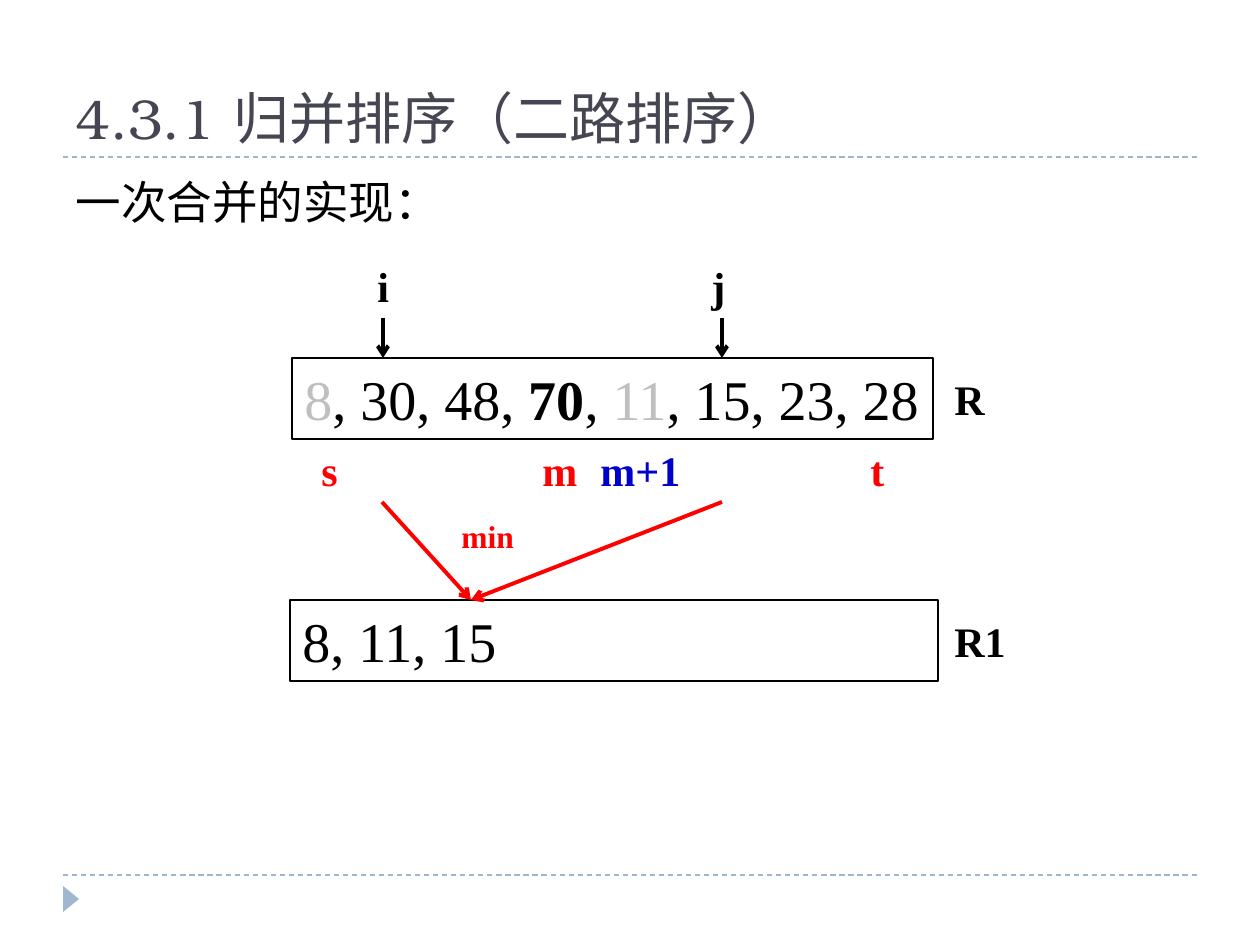
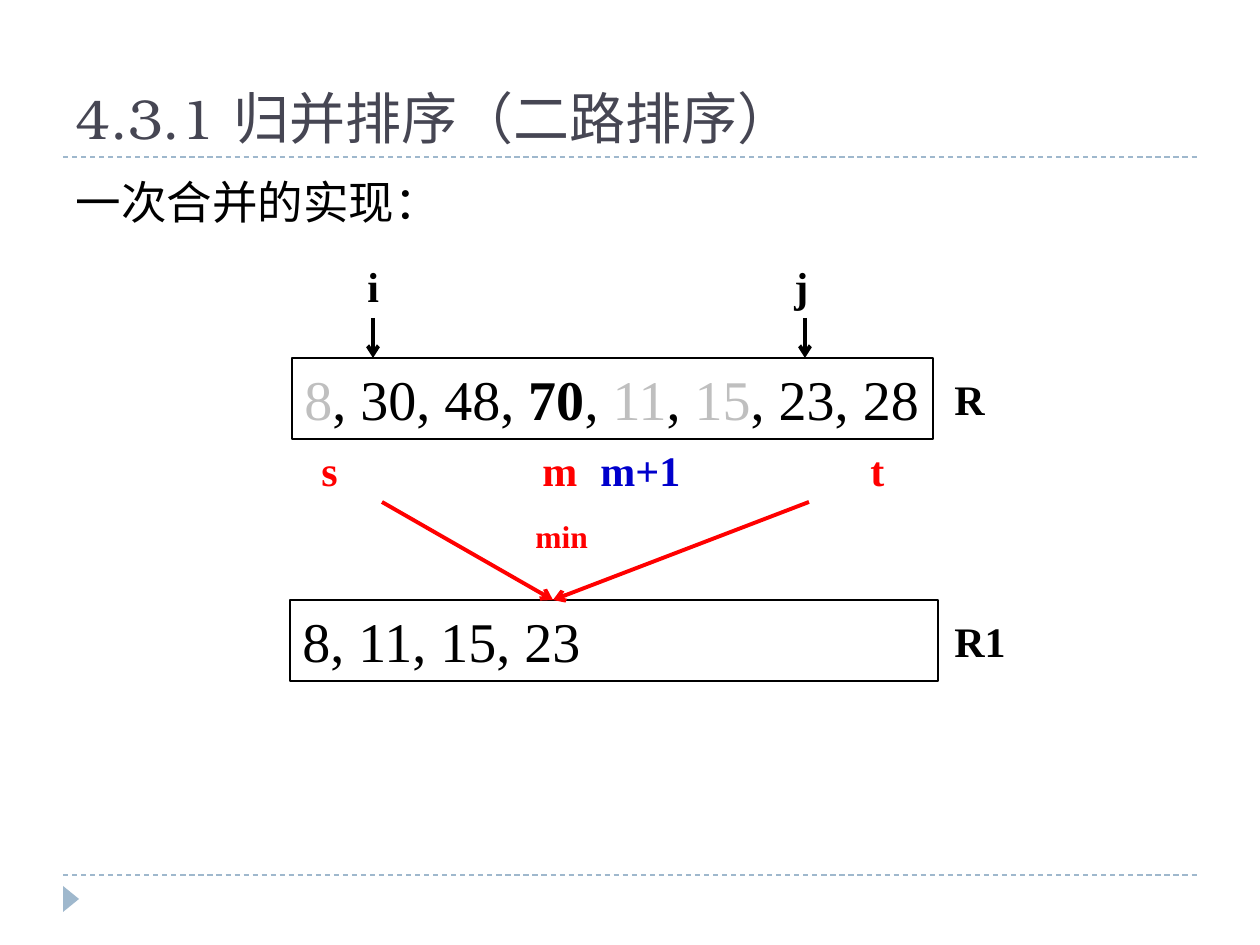
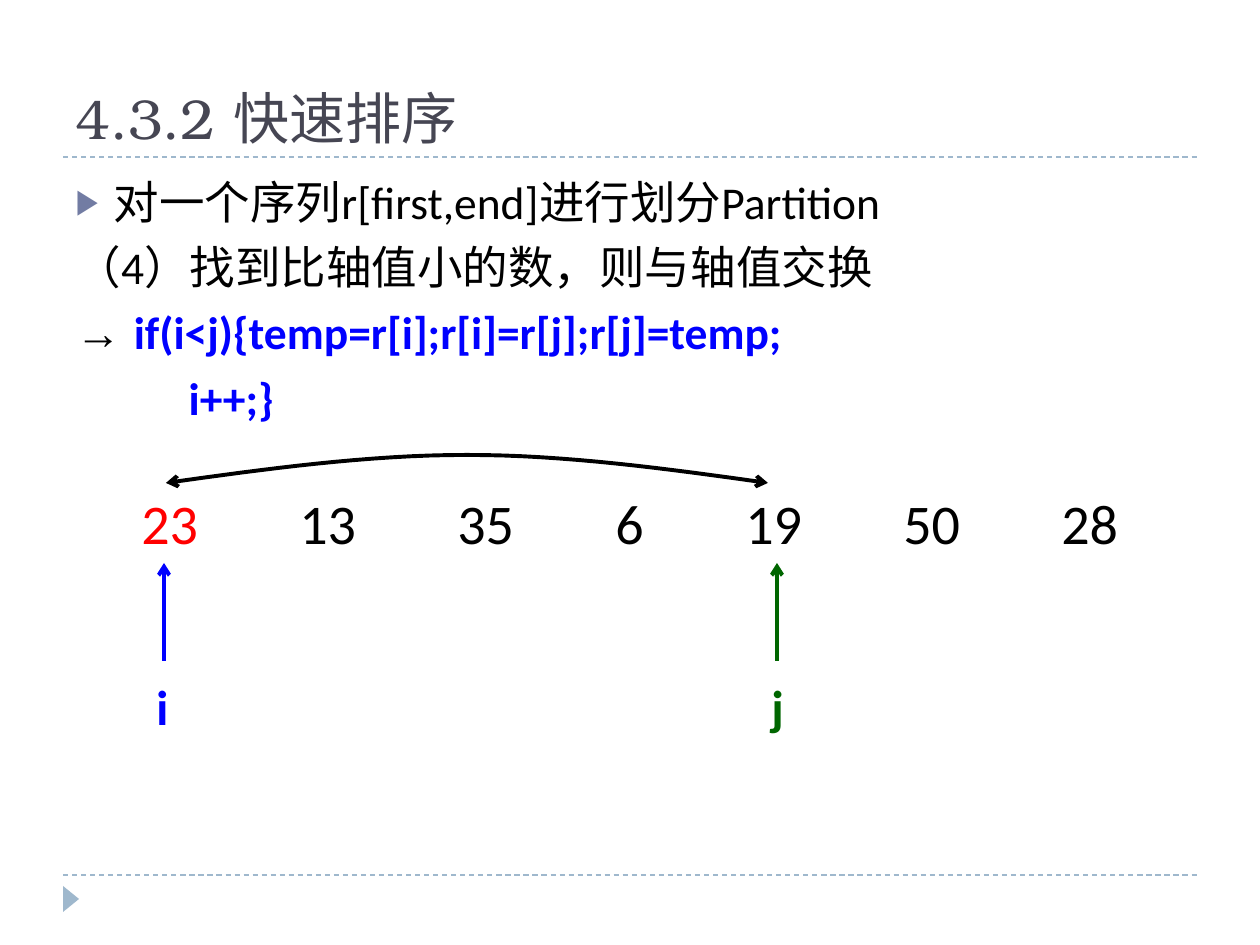
from dataclasses import dataclass

from lxml import etree
from pptx import Presentation
from pptx.dml.color import RGBColor
from pptx.enum import dml, shapes, text
from pptx.oxml import ns
from pptx.util import Emu, Pt

PX = 914400 / 126


@dataclass(frozen=True)
class Theme:
    title_font: str = "TeX Gyre Bonum"
    body_font: str = "Calibri"
    array_font: str = "Times New Roman"
    symbol_font: str = "Arial"
    title: str = "464653"
    ink: str = "000000"
    paper: str = "FFFFFF"
    band: str = "9FB8CD"
    bullet: str = "727CA3"
    used: str = "BFBFBF"
    red: str = "FF0000"
    blue: str = "0000FF"
    navy: str = "0000CC"
    green: str = "006600"
    title_size: int = 32
    body_size: int = 26
    value_size: int = 32
    index_size: int = 28
    label_size: int = 24
    note_size: int = 18
    thin: float = 0.75
    thick: float = 2.25


T = Theme()

# Content
MERGE_TITLE = "4.3.1 归并排序（二路排序）"
MERGE_LEAD = "一次合并的实现："
VALUES = ["8", "30", "48", "70", "11", "15", "23", "28"]
LAST_OF_LEFT = "70"
MERGE_STEPS = [
    {"used": ["8", "11"], "merged": "8, 11, 15", "i": 383, "j": 722,
     "sources": (382, 722), "target": 471, "min": 449},
    {"used": ["8", "11", "15"], "merged": "8, 11, 15, 23", "i": 373, "j": 805,
     "sources": (382, 809), "target": 553, "min": 523},
]
ARRAY_LABELS = [
    ("s", (309, 438, 42, 63), T.red, T.label_size),
    ("m", (530, 438, 60, 63), T.red, T.label_size),
    ("m+1", (588, 438, 105, 63), T.navy, T.label_size),
    ("t", (858, 438, 39, 63), T.red, T.label_size),
    ("R", (942, 367, 55, 63), T.ink, T.label_size),
    ("R1", (942, 609, 77, 63), T.ink, T.label_size),
]

QUICK_TITLE = "4.3.2 快速排序"
CODE = {"color": T.blue, "bold": True}
QUICK_LINES = [
    [("对一个序列r[first,end]进行划分Partition", {})],
    [("（4）找到比轴值小的数，则与轴值交换", {})],
    [("→ ", {"name": T.symbol_font}),
     ("if(i<j){temp=r[i];r[i]=r[j];r[j]=temp;", CODE)],
    [("           i++;}", CODE)],
]
SEQUENCE = ["23", "13", "35", "6", "19", "50", "28"]
POINTERS = [("i", 164, 20, T.blue), ("j", 777, 18, T.green)]

# Layout
TITLE_BOX = (63, 21, 1134, 136)
BODY_BOX = (63, 168, 1134, 680)
BAND_ROWS = (157, 875)
BAND_ENDS = (63, 1197)
MARKER_BOX = (58, 891, 26, 16)
SOURCE_BOX = (292, 358, 641, 81)
MERGED_BOX = (290, 600, 648, 81)
SEQUENCE_BOX = (129, 482, 1003, 81)
DIGIT, GAP = 28, 102
HANG = 38


def emu(*values):
    return [Emu(round(v * PX)) for v in values]


def rgb(color):
    return RGBColor.from_string(color)


def add_runs(p, runs, **base):
    for words, changes in runs:
        r = p.add_run()
        r.text = words
        form = {**base, **changes}
        r.font.color.rgb = rgb(form.pop("color", T.ink))
        r.font.size = Pt(form.pop("size"))
        for key, value in form.items():
            setattr(r.font, key, value)


def add_xml(parent, tag, **attributes):
    node = etree.SubElement(parent, ns.qn(tag))
    for key, value in attributes.items():
        node.set(key, str(value))
    return node


def add_label(slide, box, runs, wrap=False, **base):
    sp = slide.shapes.add_textbox(*emu(*box))
    sp.text_frame.word_wrap = wrap
    add_runs(sp.text_frame.paragraphs[0], runs, **base)
    return sp


def add_array(slide, box, runs, wrap):
    sp = slide.shapes.add_shape(shapes.MSO_SHAPE.RECTANGLE, *emu(*box))
    sp.shadow.inherit = False
    sp.fill.solid()
    sp.fill.fore_color.rgb = rgb(T.paper)
    style_line(sp, T.ink, T.thin)
    tf = sp.text_frame
    tf.word_wrap = wrap
    tf.vertical_anchor = text.MSO_ANCHOR.TOP
    p = tf.paragraphs[0]
    p.alignment = text.PP_ALIGN.LEFT
    add_runs(p, runs, name=T.array_font, size=T.value_size)


def style_line(sp, color, width, *arrow_ends):
    sp.line.color.rgb = rgb(color)
    sp.line.width = Pt(width)
    for end in arrow_ends:
        add_xml(sp.element.spPr.find(ns.qn("a:ln")), end, type="arrow")


def add_line(slide, ends, color, width, *arrow_ends):
    sp = slide.shapes.add_connector(shapes.MSO_CONNECTOR.STRAIGHT, *emu(*ends))
    style_line(sp, color, width, *arrow_ends)
    add_xml(sp.element.spPr, "a:effectLst")
    return sp


def set_up_layout(layout, slide):
    """Place the layout's title and body and give it the bands and the marker."""
    for ph in list(layout.placeholders):
        if ph.placeholder_format.idx > 1:
            ph.element.getparent().remove(ph.element)
    title, body = layout.placeholders
    for ph, box in ((title, TITLE_BOX), (body, BODY_BOX)):
        ph.left, ph.top, ph.width, ph.height = emu(*box)
        ph.text_frame.auto_size = text.MSO_AUTO_SIZE.NONE
    title.text_frame.vertical_anchor = text.MSO_ANCHOR.BOTTOM

    shared = []
    for y in BAND_ROWS:
        band = add_line(slide, (BAND_ENDS[0], y, BAND_ENDS[1], y), T.band, T.thin)
        band.line.dash_style = dml.MSO_LINE.DASH
        shared.append(band)
    marker = slide.shapes.add_shape(shapes.MSO_SHAPE.ISOSCELES_TRIANGLE,
                                    *emu(*MARKER_BOX))
    marker.rotation = 90
    marker.shadow.inherit = False
    marker.fill.solid()
    marker.fill.fore_color.rgb = rgb(T.band)
    marker.line.fill.background()
    for sp in shared + [marker]:
        layout.shapes.element.append(sp.element)


def fill_title(slide, words):
    p = slide.shapes.title.text_frame.paragraphs[0]
    p.alignment = text.PP_ALIGN.LEFT
    add_runs(p, [(words, {})], name=T.title_font, size=T.title_size, color=T.title)


def fill_body(slide, lines, hang=0, bulleted=()):
    tf = slide.placeholders[1].text_frame
    for n, runs in enumerate(lines):
        p = tf.add_paragraph() if n else tf.paragraphs[0]
        p.space_before = Pt(6 if n else 0)
        pPr = p._p.get_or_add_pPr()
        indent, = emu(hang)
        pPr.set("marL", str(indent))
        pPr.set("indent", str(-indent))
        if n in bulleted:
            add_xml(add_xml(pPr, "a:buClr"), "a:srgbClr", val=T.bullet)
            add_xml(pPr, "a:buSzPct", val=76000)
            add_xml(pPr, "a:buChar", char="▶")
        else:
            add_xml(pPr, "a:buNone")
        add_runs(p, runs, name=T.body_font, size=T.body_size)


def array_runs(used):
    runs = []
    for value in VALUES:
        if runs:
            runs.append((", ", {}))
        form = {"color": T.used} if value in used else {}
        if value == LAST_OF_LEFT:
            form["bold"] = True
        runs.append((value, form))
    return runs


def build_merge(slide, step):
    fill_title(slide, MERGE_TITLE)
    fill_body(slide, [[(MERGE_LEAD, {})]])
    add_array(slide, SOURCE_BOX, array_runs(step["used"]), wrap=False)
    add_array(slide, MERGED_BOX, [(step["merged"], {})], wrap=True)

    labels = ARRAY_LABELS + [
        ("i", (step["i"] - 18, 254, 36, 63), T.ink, T.label_size),
        ("j", (step["j"] - 23, 254, 39, 63), T.ink, T.label_size),
        ("min", (step["min"], 511, 92, 50), T.red, T.note_size),
    ]
    for words, box, color, size in labels:
        add_label(slide, box, [(words, {})], name=T.array_font, size=size,
                  color=color, bold=True)

    for x in (step["i"], step["j"]):
        add_line(slide, (x, 318, x, SOURCE_BOX[1]), T.ink, T.thick, "a:tailEnd")
    for x in step["sources"]:
        add_line(slide, (x, 502, step["target"], MERGED_BOX[1]), T.red, T.thick,
                 "a:tailEnd")


def add_swap_arc(slide, left=166, right=768, base=483, steps=32):
    """Draw a shallow arc with an arrowhead at each end."""
    points = []
    for k in range(steps + 1):
        u = 1 - abs(2 * k / steps - 1)
        points.append(emu(left + (right - left) * k / steps,
                          base - 14 * (3 * u - u ** 3)))
    outline = slide.shapes.build_freeform(*points[0])
    outline.add_line_segments(points[1:], close=False)
    arc = outline.convert_to_shape()
    arc.shadow.inherit = False
    arc.fill.background()
    style_line(arc, T.ink, T.thick, "a:headEnd", "a:tailEnd")


def build_quick(slide):
    fill_title(slide, QUICK_TITLE)
    fill_body(slide, QUICK_LINES, hang=HANG, bulleted=[0])

    pivot, *rest = SEQUENCE
    row = add_label(slide, SEQUENCE_BOX,
                    [(pivot, {"color": T.red})] + [("\t" + v, {}) for v in rest],
                    wrap=True, name=T.body_font, size=T.value_size)
    tabs = add_xml(row.text_frame.paragraphs[0]._p.get_or_add_pPr(), "a:tabLst")
    stop = 0
    for value in SEQUENCE[:-1]:
        stop += DIGIT * len(value) + GAP
        add_xml(tabs, "a:tab", pos=emu(stop)[0], algn="l")

    for words, x, offset, color in POINTERS:
        add_line(slide, (x, 661, x, 563), color, T.thick, "a:tailEnd")
        add_label(slide, (x - offset, 670, 37, 72), [(words, {})],
                  name=T.body_font, size=T.index_size, color=color, bold=True)
    add_swap_arc(slide)


def main():
    prs = Presentation()
    prs.slide_width, prs.slide_height = emu(1260, 945)
    layout = prs.slide_layouts[1]
    slides = [prs.slides.add_slide(layout) for _ in range(len(MERGE_STEPS) + 1)]
    set_up_layout(layout, slides[0])
    for slide, step in zip(slides, MERGE_STEPS):
        build_merge(slide, step)
    build_quick(slides[-1])
    prs.save("out.pptx")


if __name__ == "__main__":
    main()
